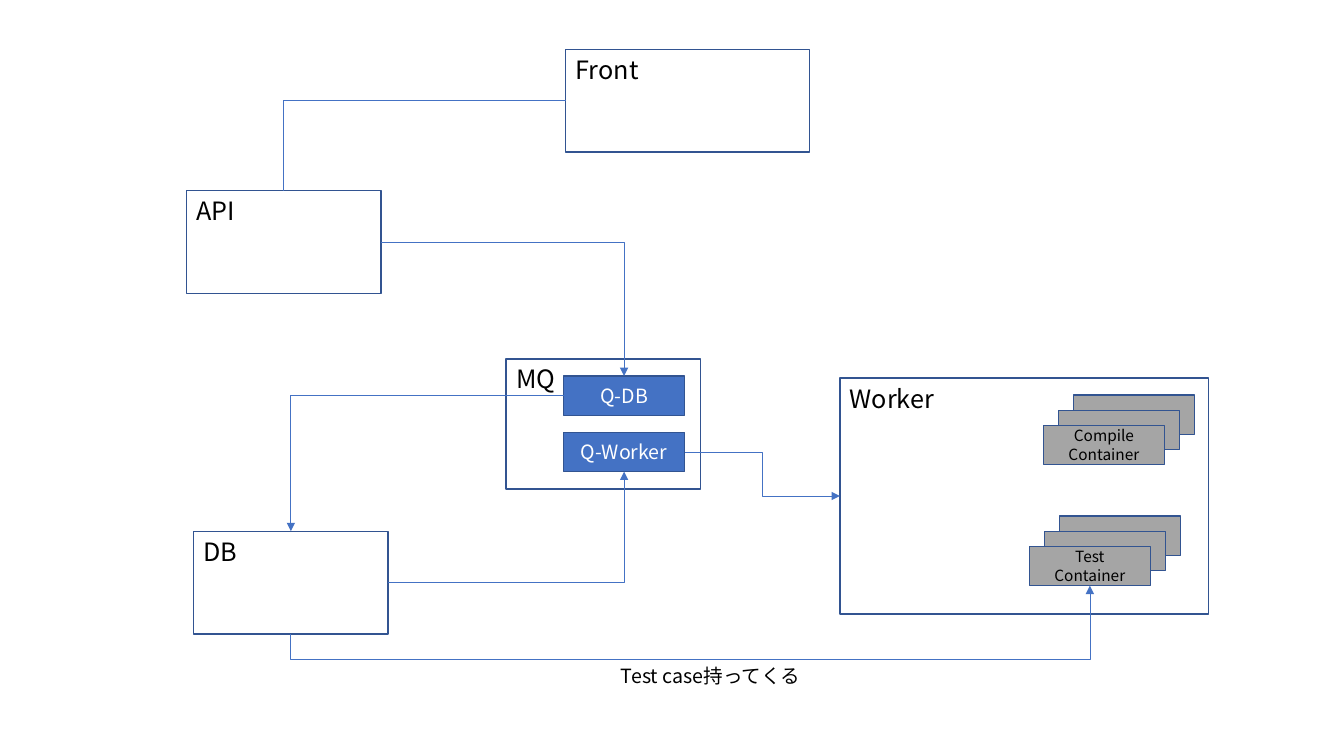
"""Build a slide of the judging system: front, API, queues, database and workers."""
from lxml import etree
from pptx import Presentation
from pptx import util as u
from pptx.dml import color
from pptx.enum import shapes, text
from pptx.oxml import ns

FONT = "Noto Sans CJK JP"
EDGE, BLUE, GRAY, WHITE, BLACK = "325491", "4472C4", "A5A5A5", "FFFFFF", "000000"
TOP, LEFT, BOTTOM, RIGHT = range(4)
PART_W, PART_H = 1.2, 0.39


def rgb(code):
    """Turn a hex string into a colour."""
    return color.RGBColor.from_string(code)


def write(shape, words, size=18, ink=BLACK, centred=False, wrap=True):
    """Put formatted words into a shape."""
    frame = shape.text_frame
    frame.word_wrap = wrap
    frame.vertical_anchor = text.MSO_ANCHOR.MIDDLE if centred else text.MSO_ANCHOR.TOP
    paragraph = frame.paragraphs[0]
    paragraph.alignment = text.PP_ALIGN.CENTER if centred else text.PP_ALIGN.LEFT
    run = paragraph.add_run()
    run.text = words
    run.font.size = u.Pt(size)
    run.font.name = FONT
    run.font.color.rgb = rgb(ink)
    east_asian = etree.SubElement(run.font._element, ns.qn("a:ea"))
    east_asian.set("typeface", FONT)


def box(slide, left, top, width, height, fill=WHITE):
    """Add an outlined rectangle."""
    shape = slide.shapes.add_shape(
        shapes.MSO_SHAPE.RECTANGLE, *map(u.Inches, (left, top, width, height)))
    shape.shadow.inherit = False
    shape.fill.solid()
    shape.fill.fore_color.rgb = rgb(fill)
    shape.line.color.rgb = rgb(EDGE)
    shape.line.width = u.Pt(1)
    return shape


def component(slide, name, left, top, width=1.93, height=1.02):
    """Add a named system component."""
    shape = box(slide, left, top, width, height)
    write(shape, name)
    return shape


def queue(slide, name, top):
    """Add a message queue inside the MQ component."""
    shape = box(slide, 5.59, top, PART_W, PART_H, BLUE)
    write(shape, name, size=14, ink=WHITE, centred=True)
    return shape


def container_stack(slide, name, left, top, depth=3, step=0.15):
    """Add stacked containers and return the named front one."""
    for level in reversed(range(depth)):
        shape = box(slide, left + level * step, top - level * step, PART_W, PART_H, GRAY)
    write(shape, name, size=11, centred=True)
    return shape


def link(slide, source, exit_side, target, entry_side, preset="bentConnector2", arrow=True):
    """Join two shapes with an elbow line."""
    line = slide.shapes.add_connector(shapes.MSO_CONNECTOR.ELBOW, 0, 0, 0, 0)
    line.begin_connect(source, exit_side)
    line.end_connect(target, entry_side)
    line.line.color.rgb = rgb(BLUE)
    line.line.width = u.Pt(0.5)
    properties = line._element.spPr
    properties.find(ns.qn("a:prstGeom")).set("prst", preset)
    if arrow:
        etree.SubElement(line.line._get_or_add_ln(), ns.qn("a:tailEnd"), type="triangle")
    etree.SubElement(properties, ns.qn("a:effectLst"))
    return line


def route_below(line, drop):
    """Turn a rising elbow line so that it first drops below its start."""
    rise, run = line.height, line.width
    middle_x, middle_y = line.left + run // 2, line.top + rise // 2
    line.left, line.top = middle_x - rise // 2, middle_y - run // 2
    line.width, line.height = rise, run
    properties = line._element.spPr
    frame = properties.find(ns.qn("a:xfrm"))
    frame.attrib.pop("flipV", None)
    frame.set("rot", str(270 * 60000))
    guides = properties.find(ns.qn("a:prstGeom")).get_or_add_avLst()
    bend = round(-u.Inches(drop) / rise * 100000)
    etree.SubElement(guides, ns.qn("a:gd"), name="adj1", fmla=f"val {bend}")


def main():
    """Build and save the slide."""
    deck = Presentation()
    deck.slide_width, deck.slide_height = u.Inches(13.33), u.Inches(7.5)
    slide = deck.slides.add_slide(deck.slide_layouts[6])

    database = component(slide, "DB", 1.92, 5.27)
    api = component(slide, "API", 1.85, 1.89)
    component(slide, "MQ", 5.02, 3.56, height=1.29)
    worker = component(slide, "Worker", 8.33, 3.75, 3.66, 2.34)
    front = component(slide, "Front", 5.61, 0.49, width=2.42)

    database_queue = queue(slide, "Q-DB", 3.73)
    worker_queue = queue(slide, "Q-Worker", 4.29)
    container_stack(slide, "Compile Container", 10.35, 4.22)
    test_container = container_stack(slide, "Test Container", 10.21, 5.42)

    link(slide, front, LEFT, api, TOP, arrow=False)
    link(slide, api, RIGHT, database_queue, TOP)
    link(slide, database_queue, LEFT, database, TOP)
    link(slide, database, RIGHT, worker_queue, BOTTOM)
    link(slide, worker_queue, RIGHT, worker, LEFT, "bentConnector3")
    test_case = link(slide, database, BOTTOM, test_container, BOTTOM, "bentConnector3")
    route_below(test_case, drop=0.25)

    caption = slide.shapes.add_textbox(*map(u.Inches, (6.06, 6.54, 2.06, 0.34)))
    write(caption, "Test case持ってくる", size=14, wrap=False)

    deck.save("out.pptx")


main()
